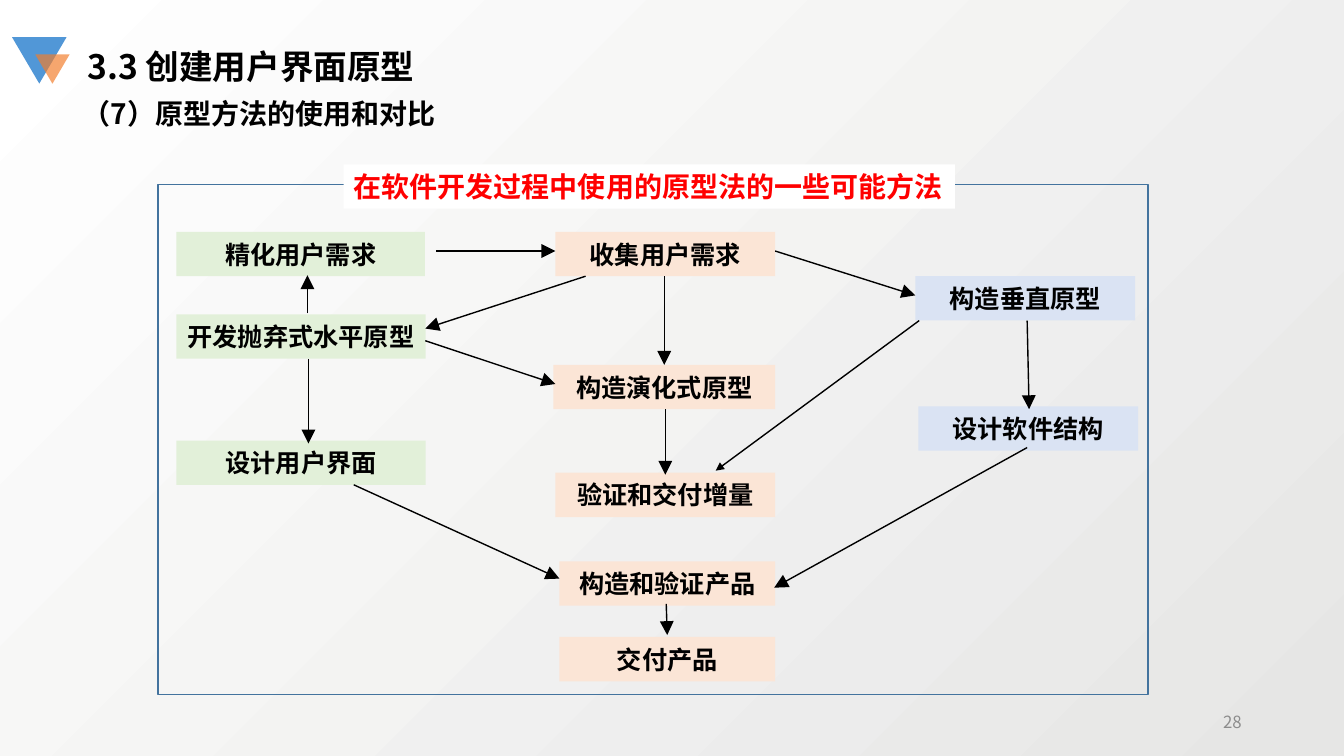
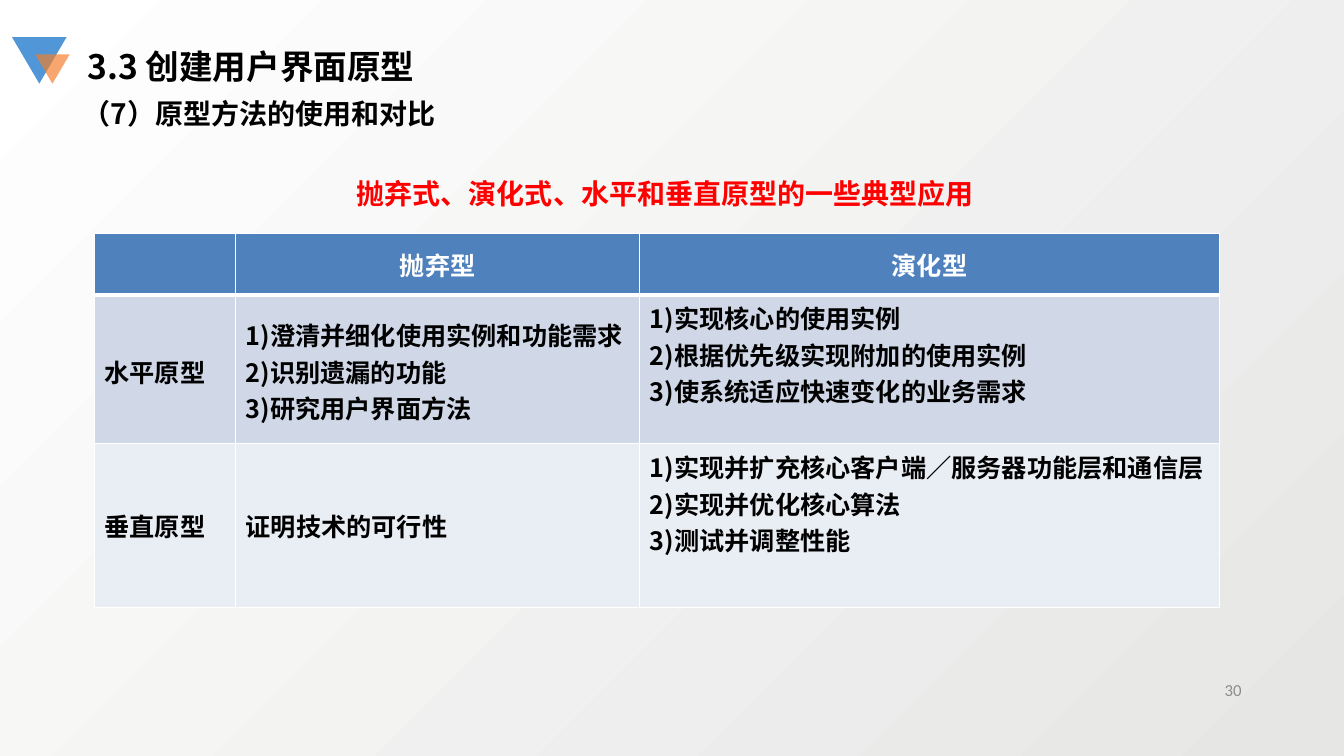
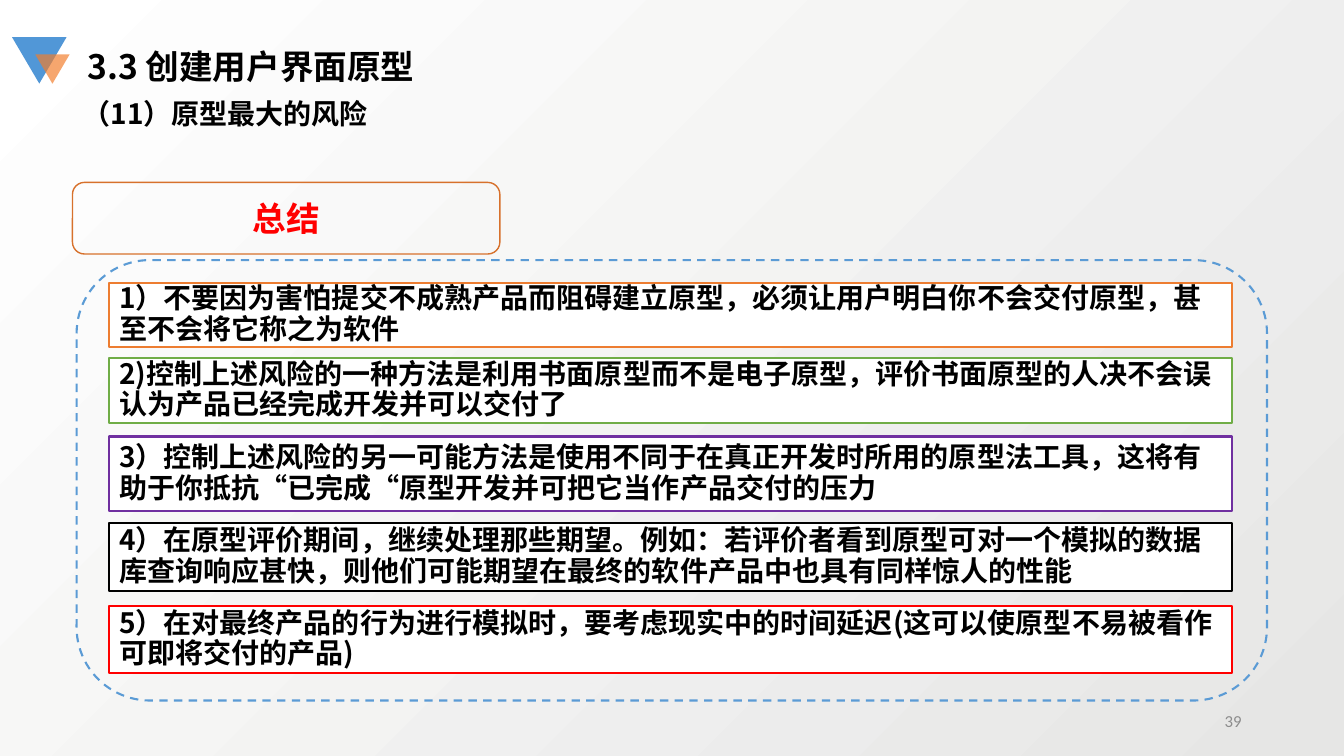
import pptx
import pptx.dml.color
import pptx.enum.dml
import pptx.enum.shapes
import pptx.enum.text
import pptx.oxml
import pptx.oxml.ns
import pptx.util
from lxml import etree

Pt = pptx.util.Pt
RGB = pptx.dml.color.RGBColor.from_string
qn = pptx.oxml.ns.qn
SHAPE = pptx.enum.shapes.MSO_SHAPE
ALIGN = pptx.enum.text.PP_ALIGN
ANCHOR = pptx.enum.text.MSO_ANCHOR

FONT = "Noto Sans CJK SC"
COLORS = {
    "black": "000000", "white": "FFFFFF", "red": "FF0000", "page": "8C8C8C",
    "background_dark": "E6E6E5", "blue_mark": "5197D7", "orange_mark": "F37D2A",
    "peach": "FBE5D6", "pale_blue": "DAE3F3", "pale_green": "E2F0D9",
    "frame": "43739E", "header": "4F81BD", "band_dark": "D0D8E8", "band_light": "E9EDF4",
    "summary": "D7712C", "dashed": "5B9BD5", "orange": "ED7D31",
    "green": "70AD47", "purple": "7030A0",
}


def add_box(slide, kind, bounds, fill=None, line=None, width=1):
    shape = slide.shapes.add_shape(kind, *map(Pt, bounds))
    shape.shadow.inherit = False
    if fill:
        shape.fill.solid()
        shape.fill.fore_color.rgb = RGB(COLORS[fill])
    else:
        shape.fill.background()
    if line:
        shape.line.color.rgb = RGB(COLORS[line])
        shape.line.width = Pt(width)
    else:
        shape.line.fill.background()
    shape.text_frame.vertical_anchor = ANCHOR.MIDDLE
    return shape


def write(frame, text, size, color="black", align=ALIGN.LEFT, bold=True, font=FONT, spacing=None):
    frame.word_wrap = True
    frame.text = text
    for paragraph in frame.paragraphs:
        paragraph.alignment = align
        paragraph.line_spacing = spacing
        paragraph.font.size = Pt(size)
        paragraph.font.bold = bold
        paragraph.font.color.rgb = RGB(COLORS[color])
        paragraph.font.name = font
        defaults = paragraph._p.pPr.find(qn("a:defRPr"))
        etree.SubElement(defaults, qn("a:ea")).set("typeface", FONT)


presentation = pptx.Presentation()
presentation.slide_width = Pt(960)
presentation.slide_height = Pt(540)
background = presentation.slide_master.background.fill
background.gradient()
background.gradient_angle = 135
for stop, color in zip(background.gradient_stops, ("background_dark", "white")):
    stop.color.rgb = RGB(COLORS[color])

pages = [
    ("（7）原型方法的使用和对比", "28", 501, FONT),
    ("（7）原型方法的使用和对比", "30", 478, "Calibri"),
    ("（11）原型最大的风险", "39", 500.4, "Calibri"),
]
slides = []
for subtitle, number, number_top, number_font in pages:
    slide = presentation.slides.add_slide(presentation.slide_layouts[6])
    slides.append(slide)
    for bounds, color in [((8.6, 26.6, 38.9, 33.1), "blue_mark"),
                          ((25.2, 38.9, 24.5, 20.9), "orange_mark")]:
        mark = add_box(slide, SHAPE.ISOSCELES_TRIANGLE, bounds, color)
        mark.rotation = 180
    mark_color = mark._element.spPr.find(".//" + qn("a:srgbClr"))
    etree.SubElement(mark_color, qn("a:alpha")).set("val", "68000")

    title = slide.shapes.add_textbox(Pt(55.4), Pt(29.2), Pt(270), Pt(36))
    write(title.text_frame, "3.3 创建用户界面原型", 24)
    heading = slide.shapes.add_textbox(Pt(51.8), Pt(65.5), Pt(611), Pt(31.7))
    write(heading.text_frame, subtitle, 20)
    page_box = slide.shapes.add_textbox(Pt(678), Pt(number_top), Pt(216), Pt(28.8))
    page_box.text_frame.vertical_anchor = ANCHOR.MIDDLE
    write(page_box.text_frame, number, 12, "page", ALIGN.RIGHT, False, number_font)

flow_slide, table_slide, summary_slide = slides

add_box(flow_slide, SHAPE.RECTANGLE, (113, 131.8, 707, 364.3), line="frame")
flow_label = add_box(flow_slide, SHAPE.RECTANGLE, (245.5, 117.4, 436.5, 31.7), "white")
flow_label.text_frame.vertical_anchor = ANCHOR.TOP
write(flow_label.text_frame, "在软件开发过程中使用的原型法的一些可能方法", 20, "red")

steps = [
    ("收集用户需求", 396.7, 165.6, 157, "peach"),
    ("构造演化式原型", 395.3, 260.6, 158.4, "peach"),
    ("验证和交付增量", 396.7, 337.7, 157, "peach"),
    ("构造和验证产品", 399.6, 401, 154, "peach"),
    ("交付产品", 399.6, 455, 154, "peach"),
    ("构造垂直原型", 653.8, 197.3, 157, "pale_blue"),
    ("设计软件结构", 655.9, 290.2, 157, "pale_blue"),
    ("精化用户需求", 126, 165.6, 177.5, "pale_green"),
    ("开发抛弃式水平原型", 126, 224.6, 178, "pale_green"),
    ("设计用户界面", 126, 314.8, 178, "pale_green"),
]
for text, left, top, width, fill in steps:
    step = add_box(flow_slide, SHAPE.RECTANGLE, (left, top, width, 31.7), fill)
    write(step.text_frame, text, 18, align=ALIGN.CENTER)

arrows = [
    (733.7, 319.7, 553, 419.8, "lg"),
    (733.7, 229, 735.1, 292.3, "lg"),
    (553.7, 179.3, 653.8, 211, "lg"),
    (311.8, 179.3, 396.7, 179.3, "lg"),
    (474.5, 197.3, 474.5, 260.6, "lg"),
    (475.2, 292.3, 475.2, 339.1, "lg"),
    (656.6, 229, 511.2, 336.2, "med"),
    (252.7, 346.3, 399.6, 413.3, "lg"),
    (220.3, 256.3, 220.3, 316.8, "lg"),
    (418.3, 197.3, 303.8, 234.7, "lg"),
    (303.8, 243.4, 396.7, 274.3, "lg"),
    (475.9, 431.3, 476.6, 453.6, "lg"),
    (219.6, 223.9, 219.6, 196.6, "lg"),
]
for *ends, head_size in arrows:
    arrow = flow_slide.shapes.add_connector(
        pptx.enum.shapes.MSO_CONNECTOR.STRAIGHT, *map(Pt, ends))
    arrow.line.color.rgb = RGB(COLORS["black"])
    arrow.line.width = Pt(1)
    head = etree.SubElement(arrow.line._get_or_add_ln(), qn("a:tailEnd"))
    head.set("type", "triangle")
    head.set("w", head_size)
    head.set("len", head_size)
    etree.SubElement(arrow._element.spPr, qn("a:effectLst"))

caption = table_slide.shapes.add_textbox(Pt(67), Pt(122.4), Pt(816.5), Pt(31.7))
write(caption.text_frame, "抛弃式、演化式、水平和垂直原型的一些典型应用", 20, "red", ALIGN.CENTER)

rows = [
    ("", "抛弃型", "演化型"),
    ("水平原型",
     "1)澄清并细化使用实例和功能需求\n2)识别遗漏的功能\n3)研究用户界面方法",
     "1)实现核心的使用实例\n2)根据优先级实现附加的使用实例\n3)使系统适应快速变化的业务需求"),
    ("垂直原型", "证明技术的可行性",
     "1)实现并扩充核心客户端／服务器功能层和通信层\n2)实现并优化核心算法\n3)测试并调整性能"),
]
column_widths = [100.8, 288.7, 414]
row_heights = [43.9, 105.8, 117.4]
table = table_slide.shapes.add_table(
    3, 3, Pt(67.5), Pt(167), Pt(sum(column_widths)), Pt(sum(row_heights))).table
for column, width in zip(table.columns, column_widths):
    column.width = Pt(width)
for row, height in zip(table.rows, row_heights):
    row.height = Pt(height)
for row_index, texts in enumerate(rows):
    for column_index, text in enumerate(texts):
        cell = table.cell(row_index, column_index)
        is_header = row_index == 0
        write(cell.text_frame, text, 18, "white" if is_header else "black",
              ALIGN.CENTER if is_header else ALIGN.LEFT)
        is_list = column_index == 2 and not is_header
        cell.vertical_anchor = ANCHOR.TOP if is_list else ANCHOR.MIDDLE
        if row_index == 1:
            cell.margin_top, cell.margin_bottom = Pt(3), Pt(0)
        properties = cell._tc.get_or_add_tcPr()
        thick_side = {0: "lnB", 1: "lnT"}.get(row_index)
        for side in ("lnL", "lnR", "lnT", "lnB"):
            border = etree.SubElement(properties, qn("a:" + side))
            border.set("w", str(Pt(3 if side == thick_side else 1)))
            border_fill = etree.SubElement(border, qn("a:solidFill"))
            etree.SubElement(border_fill, qn("a:srgbClr")).set("val", COLORS["white"])
        cell.fill.solid()
        cell.fill.fore_color.rgb = RGB(COLORS[("header", "band_dark", "band_light")[row_index]])

summary = add_box(summary_slide, SHAPE.ROUNDED_RECTANGLE, (51.8, 130.3, 305.3, 51.1), line="summary")
write(summary.text_frame, "总结", 24, "red", ALIGN.CENTER, font="Calibri")
outline = add_box(summary_slide, SHAPE.ROUNDED_RECTANGLE, (54.7, 185.8, 850.3, 314.6),
                  line="dashed", width=1.5)
outline.line.dash_style = pptx.enum.dml.MSO_LINE.DASH

points = [
    ("1）不要因为害怕提交不成熟产品而阻碍建立原型，必须让用户明白你不会交付原型，甚至不会将它称之为软件",
     202.3, 45.4, "orange"),
    ("2)控制上述风险的一种方法是利用书面原型而不是电子原型，评价书面原型的人决不会误认为产品已经完成开发并可以交付了",
     255.6, 46.8, "green"),
    ("3）控制上述风险的另一可能方法是使用不同于在真正开发时所用的原型法工具，这将有助于你抵抗“已完成“原型开发并可把它当作产品交付的压力",
     311.8, 53.3, "purple"),
    ("4）在原型评价期间，继续处理那些期望。例如：若评价者看到原型可对一个模拟的数据库查询响应甚快，则他们可能期望在最终的软件产品中也具有同样惊人的性能",
     373.7, 48.2, "black"),
    ("5）在对最终产品的行为进行模拟时，要考虑现实中的时间延迟(这可以使原型不易被看作可即将交付的产品)",
     432.7, 48.2, "red"),
]
for text, top, height, color in points:
    point = add_box(summary_slide, SHAPE.RECTANGLE, (78, top, 802, height), "white", color, 1.5)
    write(point.text_frame, text, 20, spacing=0.9)

presentation.save("out.pptx")
